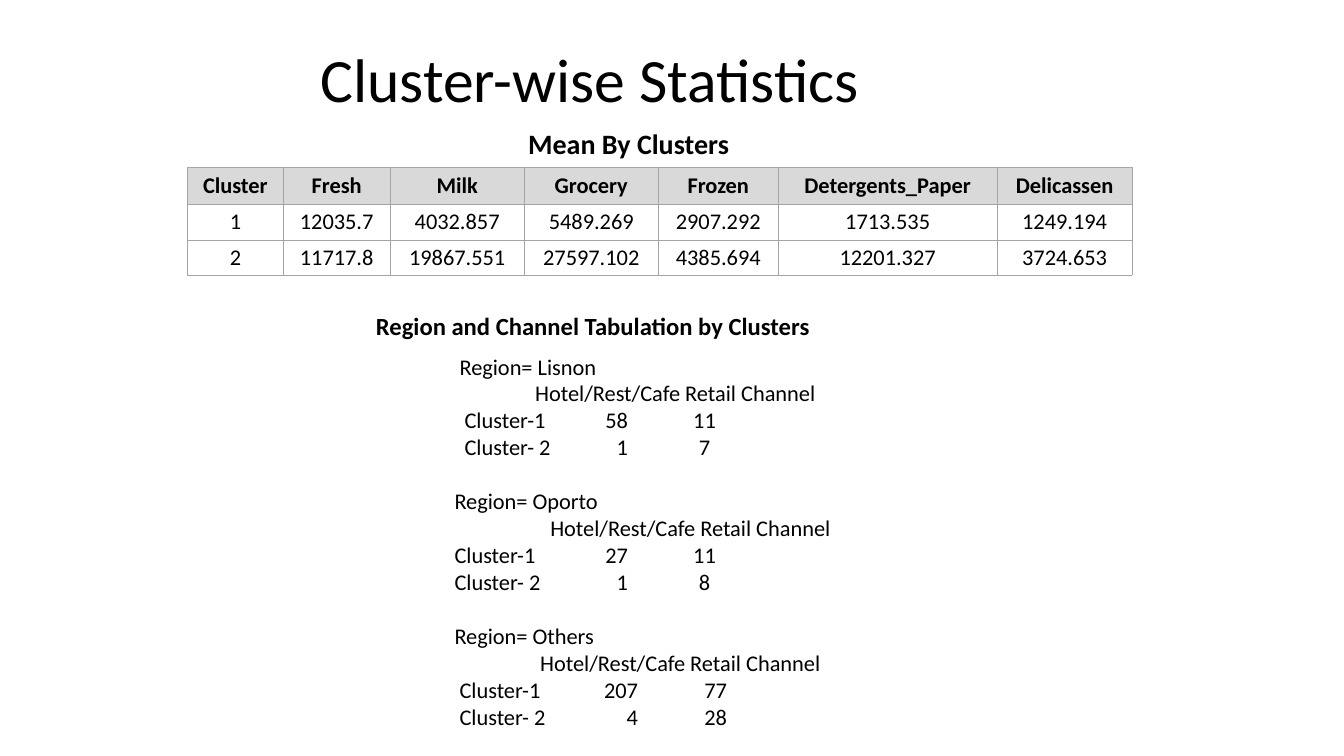
import pptx
import pptx.dml.color
import pptx.enum.text
import pptx.oxml
import pptx.oxml.ns
import pptx.util
from pptx.util import Inches

BLACK = pptx.dml.color.RGBColor(0x00, 0x00, 0x00)
WHITE = pptx.dml.color.RGBColor(0xFF, 0xFF, 0xFF)
HEADER_GREY = pptx.dml.color.RGBColor(0xD9, 0xD9, 0xD9)
BORDER_GREY = pptx.dml.color.RGBColor(0xA5, 0xA5, 0xA5)
FONT = "Calibri"
CENTER = pptx.enum.text.PP_ALIGN.CENTER
MIDDLE = pptx.enum.text.MSO_ANCHOR.MIDDLE

MEANS = [
    ["Cluster", "Fresh", "Milk", "Grocery", "Frozen", "Detergents_Paper", "Delicassen"],
    ["1", "12035.7", "4032.857", "5489.269", "2907.292", "1713.535", "1249.194"],
    ["2", "11717.8", "19867.551", "27597.102", "4385.694", "12201.327", "3724.653"],
]
COLUMN_WIDTHS = [0.95, 1.06, 1.33, 1.33, 1.19, 2.17, 1.34]
ROW_HEIGHTS = [0.37, 0.35, 0.35]

# Region, its indent, channel heading indent, row indent, value stops, counts
REGIONS = [
    ("Lisnon", 0.05, 0.8, 0.1, (1.72, 2.48), [("58", "11"), ("1", "7")]),
    ("Oporto", 0, 0.95, 0, (1.72, 2.48), [("27", "11"), ("1", "8")]),
    ("Others", 0, 0.85, 0.05, (1.82, 2.59), [("207", "77"), ("4", "28")]),
]
CLUSTERS = ["Cluster-1", "Cluster- 2"]


def add_run(paragraph, text, size, bold=False):
    run = paragraph.add_run()
    run.text = text
    run.font.name = FONT
    run.font.size = pptx.util.Pt(size)
    run.font.bold = bold
    run.font.color.rgb = BLACK


def set_tab_stops(paragraph, stops):
    tab_list = pptx.oxml.parse_xml(f"<a:tabLst {pptx.oxml.ns.nsdecls('a')}/>")
    for position, alignment in stops:
        tab_list.append(pptx.oxml.parse_xml(
            f"<a:tab {pptx.oxml.ns.nsdecls('a')} "
            f'pos="{Inches(position)}" algn="{alignment}"/>'))
    paragraph._p.get_or_add_pPr().append(tab_list)


def set_borders(cell):
    properties = cell._tc.get_or_add_tcPr()
    for index, side in enumerate(("lnL", "lnR", "lnT", "lnB")):
        properties.insert(index, pptx.oxml.parse_xml(
            f"<a:{side} {pptx.oxml.ns.nsdecls('a')} w=\"{pptx.util.Pt(0.5)}\">"
            f'<a:solidFill><a:srgbClr val="{BORDER_GREY}"/></a:solidFill></a:{side}>'))


def add_title(slide, left, top, width, height):
    title = slide.shapes.title
    title.left, title.top = Inches(left), Inches(top)
    title.width, title.height = Inches(width), Inches(height)
    frame = title.text_frame
    frame.auto_size = pptx.enum.text.MSO_AUTO_SIZE.NONE
    frame.vertical_anchor = MIDDLE
    paragraph = frame.paragraphs[0]
    paragraph.alignment = CENTER
    paragraph.line_spacing = 0.9
    add_run(paragraph, "Cluster-wise Statistics", 44)


def add_text_box(slide, left, top, width, height):
    box = slide.shapes.add_textbox(Inches(left), Inches(top), Inches(width), Inches(height))
    box.text_frame.word_wrap = True
    return box.text_frame


def add_heading(slide, left, top, width, height, text, size, line_spacing, alignment=None):
    paragraph = add_text_box(slide, left, top, width, height).paragraphs[0]
    paragraph.alignment = alignment
    paragraph.line_spacing = line_spacing
    paragraph.space_before = pptx.util.Pt(10)
    add_run(paragraph, text, size, bold=True)


def add_means_table(slide, left, top):
    frame = slide.shapes.add_table(
        len(MEANS), len(COLUMN_WIDTHS), Inches(left), Inches(top),
        Inches(sum(COLUMN_WIDTHS)), Inches(sum(ROW_HEIGHTS)))
    table = frame.table
    for column, width in zip(table.columns, COLUMN_WIDTHS):
        column.width = Inches(width)
    for row_index, values in enumerate(MEANS):
        is_header = row_index == 0
        table.rows[row_index].height = Inches(ROW_HEIGHTS[row_index])
        for column_index, value in enumerate(values):
            cell = table.cell(row_index, column_index)
            cell.margin_left = cell.margin_right = Inches(0.05)
            cell.margin_top = cell.margin_bottom = Inches(0.05 if is_header else 0.04)
            cell.fill.solid()
            cell.fill.fore_color.rgb = HEADER_GREY if is_header else WHITE
            set_borders(cell)
            paragraph = cell.text_frame.paragraphs[0]
            paragraph.alignment = CENTER
            add_run(paragraph, value, 16, bold=is_header)


def add_region_counts(slide, left, top, width, height):
    frame = add_text_box(slide, left, top, width, height)

    def add_line(cells, stops, gap=0):
        is_first = not frame.paragraphs[0].runs
        paragraph = frame.paragraphs[0] if is_first else frame.add_paragraph()
        paragraph.space_before = pptx.util.Pt(gap)
        # A first cell at the margin needs no tab
        lead = "\t" if stops[0][0] else ""
        set_tab_stops(paragraph, [stop for stop in stops if stop[0]])
        add_run(paragraph, lead + "\t".join(cells), 16)

    for index, (name, indent, channel_indent, row_indent, value_stops, counts) in enumerate(REGIONS):
        add_line([f"Region= {name}"], [(indent, "l")], gap=19.5 if index else 0)
        add_line(["Hotel/Rest/Cafe Retail Channel"], [(channel_indent, "l")])
        stops = [(row_indent, "l"), (value_stops[0], "r"), (value_stops[1], "ctr")]
        for cluster, values in zip(CLUSTERS, counts):
            add_line([cluster, *values], stops)


def main():
    presentation = pptx.Presentation()
    presentation.slide_width, presentation.slide_height = Inches(13.33), Inches(7.5)
    slide = presentation.slides.add_slide(presentation.slide_layouts[5])

    add_title(slide, 0.05, 0.4, 11.6, 0.84)
    # Means
    add_heading(slide, 3.1, 1.24, 6.27, 0.33, "Mean By Clusters", 20, 0.9, CENTER)
    add_means_table(slide, 1.86, 1.66)
    # Counts by region and channel
    add_heading(slide, 3.63, 3.12, 6.43, 0.33,
                "Region and Channel Tabulation by Clusters", 17.6, 0.7)
    add_region_counts(slide, 4.41, 3.45, 4.87, 3.9)
    presentation.save("out.pptx")


if __name__ == "__main__":
    main()
